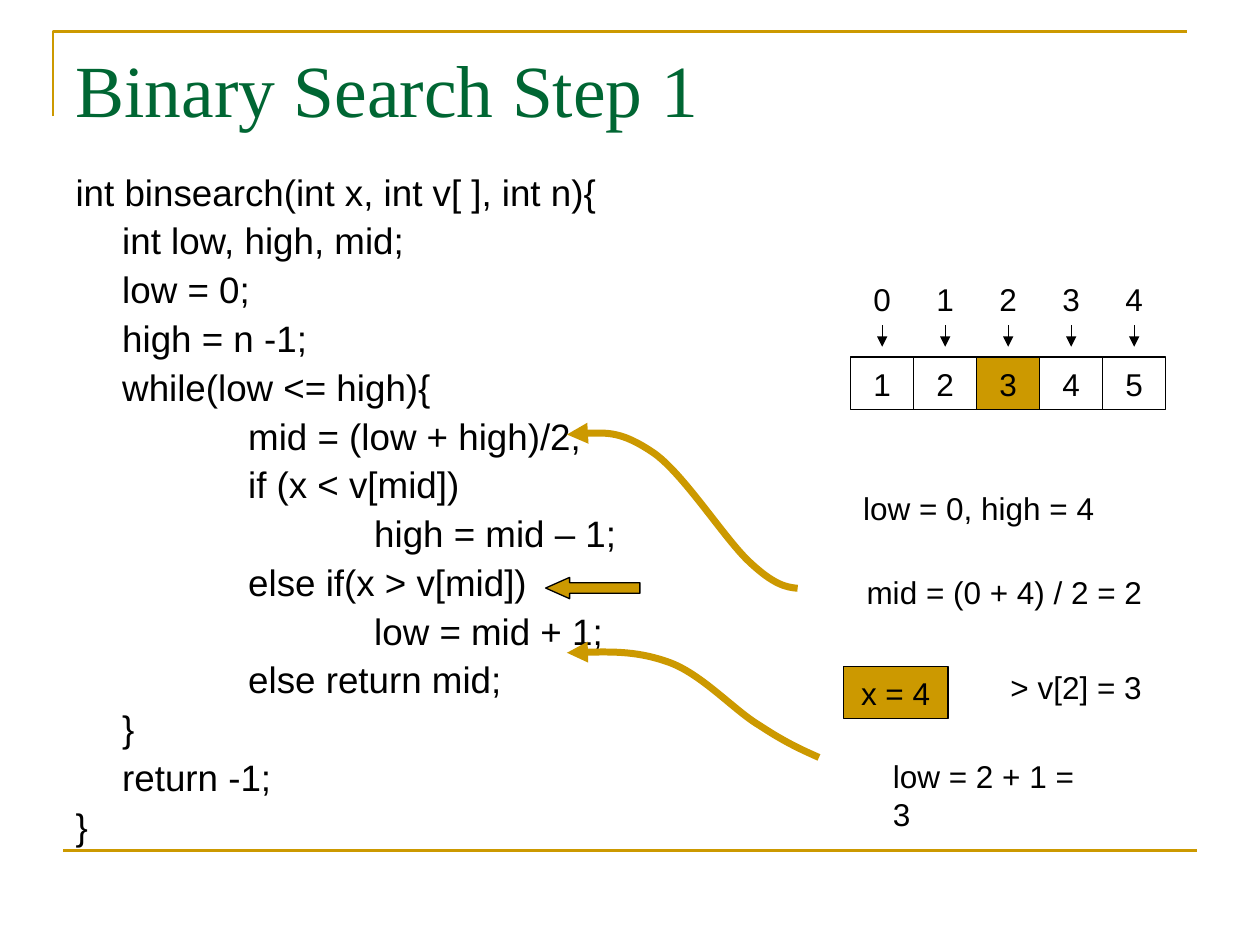
from lxml.etree import SubElement
from pptx import Presentation
from pptx.dml.color import RGBColor
from pptx.enum.shapes import MSO_CONNECTOR, MSO_SHAPE
from pptx.enum.text import MSO_ANCHOR, PP_ALIGN
from pptx.oxml.ns import qn
from pptx.util import Cm, Pt

GOLD, GREEN, BLACK = "CC9900", "006633", "000000"


def paint(sp, fill, line, width, arrow=False):
    if fill:
        sp.fill.solid()
        sp.fill.fore_color.rgb = RGBColor.from_string(fill)
    elif hasattr(sp, "fill"):
        sp.fill.background()
    sp.line.color.rgb = RGBColor.from_string(line)
    sp.line.width = Pt(width)
    spPr = sp._element.spPr
    if arrow:
        SubElement(spPr.find(qn("a:ln")), qn("a:tailEnd"), type="triangle")
    SubElement(spPr, qn("a:effectLst"))


def write(sp, text, size=18, font="Arial", color=BLACK, align=PP_ALIGN.LEFT, anchor=MSO_ANCHOR.TOP):
    tf = sp.text_frame
    tf.text = text
    tf.vertical_anchor = anchor
    for p in tf.paragraphs:
        p.alignment = align
        for r in p.runs:
            r.font.size = Pt(size)
            r.font.name = font
            r.font.color.rgb = RGBColor.from_string(color)


prs = Presentation()
prs.slide_width, prs.slide_height = Cm(25.4), Cm(19.05)
s = prs.slides.add_slide(prs.slide_layouts[1])

fb = s.shapes.build_freeform(Cm(1.07), Cm(2.34))
fb.add_line_segments([(Cm(1.07), Cm(0.64)), (Cm(23.93), Cm(0.64))], close=False)
paint(fb.convert_to_shape(), None, GOLD, 1.5)
rule = s.shapes.add_connector(MSO_CONNECTOR.STRAIGHT, Cm(1.27), Cm(17.15), Cm(24.13), Cm(17.15))
paint(rule, None, GOLD, 1.5)

title = s.shapes.title
title.left, title.top, title.width, title.height = Cm(1.27), Cm(0.76), Cm(22.86), Cm(2.03)
write(title, "Binary Search Step 1", 42, "Times New Roman", GREEN, anchor=MSO_ANCHOR.BOTTOM)

code = [
    "int binsearch(int x, int v[ ], int n){",
    "\tint low, high, mid;",
    "\tlow = 0;",
    "\thigh = n -1;",
    "\twhile(low <= high){",
    "\t\tmid = (low + high)/2;",
    "\t\tif (x < v[mid])",
    "\t\t\thigh = mid – 1;",
    "\t\telse if(x > v[mid])",
    "\t\t\tlow = mid + 1;",
    "\t\telse return mid;",
    "\t}",
    "\treturn -1;",
    "}",
]
body = s.placeholders[1]
body.left, body.top, body.width, body.height = Cm(1.27), Cm(3.39), Cm(11.43), Cm(14.4)
write(body, "\n".join(code), 21)
for p in body.text_frame.paragraphs:
    p.line_spacing = 0.9
    p.space_before = Pt(5.2)
    pPr = p._p.get_or_add_pPr()
    pPr.set("marL", str(Cm(0.94)))
    pPr.set("indent", str(Cm(-0.94)))
    pPr.set("defTabSz", str(Cm(2.54)))
    SubElement(pPr, qn("a:buNone"))

cell_w, cell_h = 1.27, 1.06
for i in range(5):
    x = 17.15 + i * cell_w
    index = s.shapes.add_textbox(Cm(x), Cm(5.5), Cm(cell_w), Cm(cell_h))
    write(index, str(i), align=PP_ALIGN.CENTER, anchor=MSO_ANCHOR.MIDDLE)
    mid_x = Cm(x + cell_w / 2)
    pointer = s.shapes.add_connector(MSO_CONNECTOR.STRAIGHT, mid_x, Cm(6.56), mid_x, Cm(6.99))
    paint(pointer, None, BLACK, 0.75, arrow=True)
    cell = s.shapes.add_shape(MSO_SHAPE.RECTANGLE, Cm(x), Cm(7.2), Cm(cell_w), Cm(cell_h))
    paint(cell, GOLD if i == 2 else None, BLACK, 0.75)
    write(cell, str(i + 1), align=PP_ALIGN.CENTER, anchor=MSO_ANCHOR.MIDDLE)
    cell.text_frame.word_wrap = False

for text, x, y, w in [
    ("low = 0, high = 4", 17.15, 9.74, 5.16),
    ("mid = (0 + 4) / 2 = 2", 17.22, 11.43, 6.07),
    ("> v[2] = 3", 20.12, 13.34, 3.15),
    ("low = 2 + 1 = 3", 17.75, 15.14, 4.67),
]:
    write(s.shapes.add_textbox(Cm(x), Cm(y), Cm(w), Cm(1.02)), text)

key = s.shapes.add_shape(MSO_SHAPE.RECTANGLE, Cm(17), Cm(13.44), Cm(2.11), Cm(1.04))
paint(key, GOLD, BLACK, 0.75)
write(key, "x = 4", align=PP_ALIGN.CENTER, anchor=MSO_ANCHOR.MIDDLE)
key.text_frame.word_wrap = False

curves = [
    [(16.08, 11.86), (15.85, 11.84), (15.6, 11.79), (15.11, 11.33), (14.61, 10.87),
     (13.77, 9.53), (13.16, 9.12), (12.52, 8.69), (11.99, 8.71), (11.43, 8.76)],
    [(16.51, 15.27), (16.15, 15.11), (15.82, 14.96), (15.32, 14.63), (14.81, 14.33),
     (14.17, 13.61), (13.51, 13.36), (12.88, 13.13), (12.14, 13.13), (11.43, 13.16)],
]
for curve in curves:
    start, *rest = [(Cm(x), Cm(y)) for x, y in curve]
    fb = s.shapes.build_freeform(*start)
    fb.add_line_segments(rest, close=False)
    sp = fb.convert_to_shape()
    outline = sp._element.find(".//" + qn("a:path"))
    for i, seg in enumerate(outline.findall(qn("a:lnTo"))):
        if i % 3 == 0:
            bezier = SubElement(outline, qn("a:cubicBezTo"))
        bezier.append(seg[0])
        outline.remove(seg)
    paint(sp, None, GOLD, 4, arrow=True)

current = s.shapes.add_shape(MSO_SHAPE.LEFT_ARROW, Cm(11), Cm(11.64), Cm(1.9), Cm(0.43))
current.adjustments[1] = 1.126
paint(current, GOLD, BLACK, 0.75)

prs.save("out.pptx")
